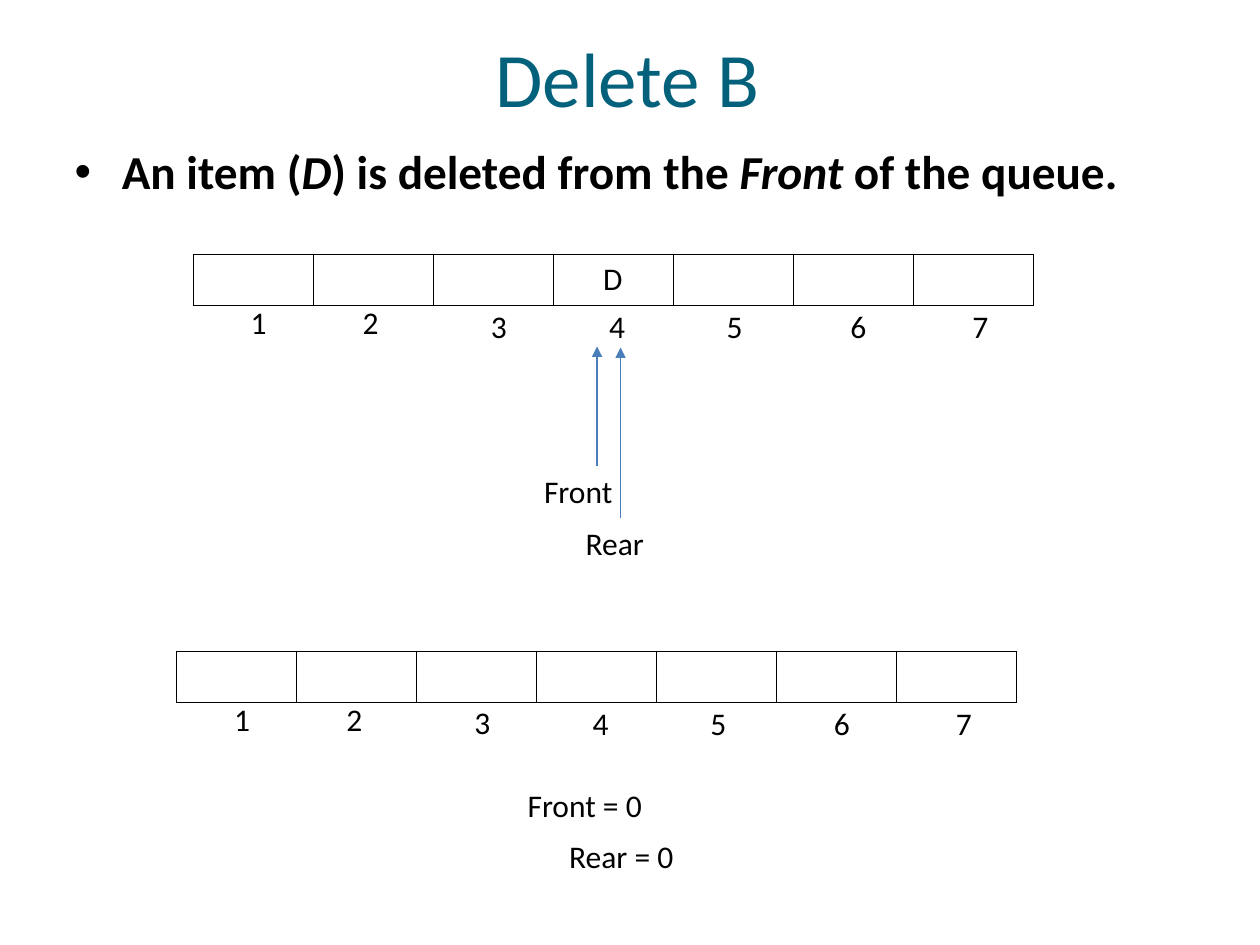
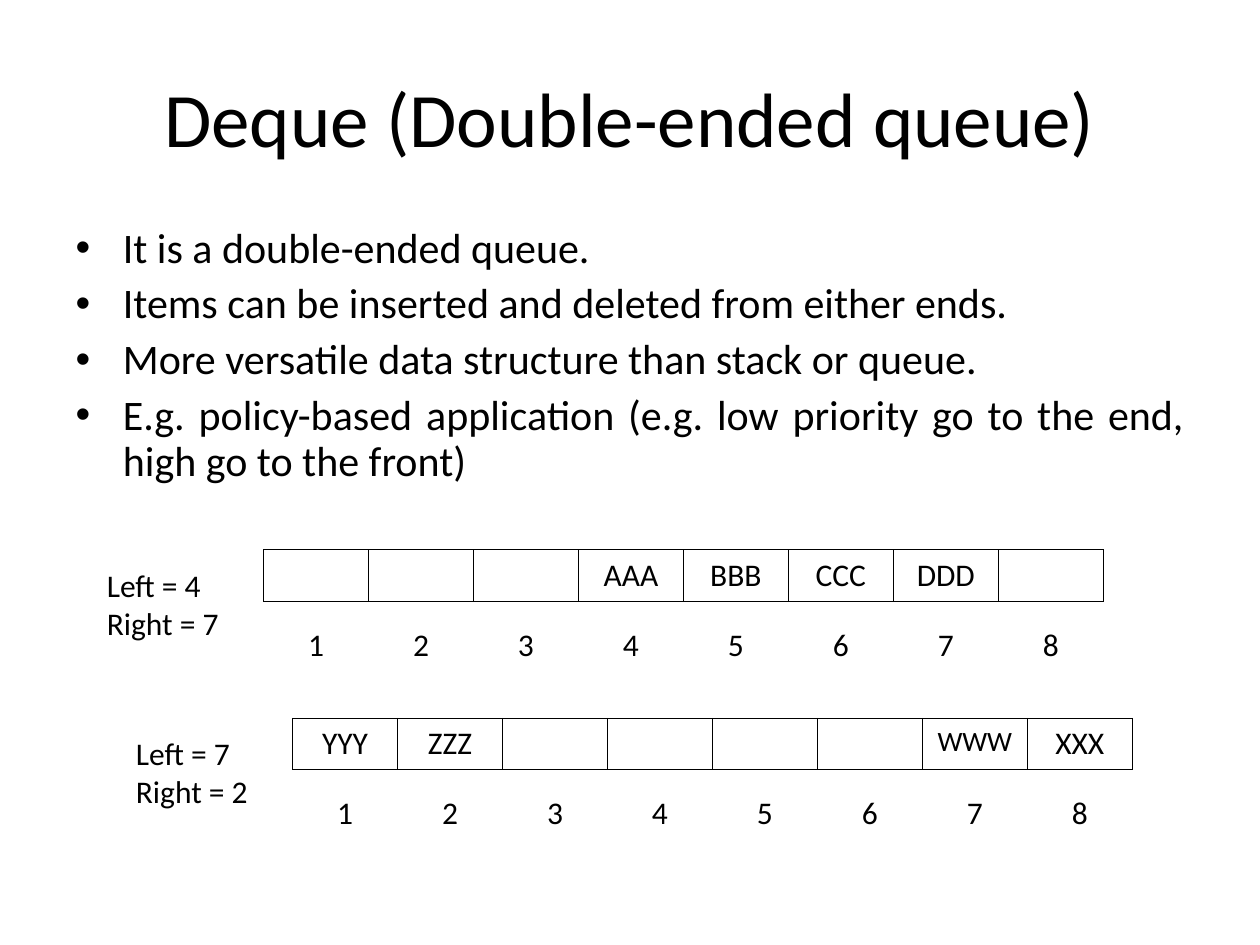
from dataclasses import dataclass, field

from lxml import etree
from pptx import Presentation
from pptx.dml.color import RGBColor
from pptx.enum.shapes import MSO_CONNECTOR
from pptx.enum.text import MSO_ANCHOR, MSO_AUTO_SIZE, PP_ALIGN
from pptx.oxml.ns import qn
from pptx.slide import Slide
from pptx.text.text import TextFrame
from pptx.util import Pt

STRAIGHT = MSO_CONNECTOR.STRAIGHT
MIDDLE = MSO_ANCHOR.MIDDLE
NO_AUTOFIT = MSO_AUTO_SIZE.NONE
LEFT, CENTER, JUSTIFY = PP_ALIGN.LEFT, PP_ALIGN.CENTER, PP_ALIGN.JUSTIFY

BLACK = RGBColor(0, 0, 0)
TEAL = RGBColor(0x04, 0x61, 0x7B)
ARROW_BLUE = RGBColor(0x4A, 0x7E, 0xBB)

FONT = "Calibri"
TITLE_SIZE = 44
LABEL_SIZE = 18
ROW_WIDTH, ROW_HEIGHT = 480, 29.2
LABEL_HEIGHT = 29
BORDER_WIDTH = 0.45
INDEX_OFFSETS = [(26, 24), (90, 24), (163.2, 26.2), (230.8, 26.6),
                 (298, 26.6), (368.6, 26.6), (438.4, 26.6)]


@dataclass
class Box:
    left: float
    top: float
    width: float
    height: float

    def lengths(self) -> tuple[Pt, Pt, Pt, Pt]:
        return Pt(self.left), Pt(self.top), Pt(self.width), Pt(self.height)


@dataclass
class Phrase:
    text: str
    italic: bool = False


@dataclass
class Cell:
    text: str = ""
    size: float = LABEL_SIZE


@dataclass
class Label:
    text: str
    dx: float
    dy: float
    width: float


@dataclass
class Pointer:
    dx: float
    start_dy: float
    end_dy: float


@dataclass
class QueueState:
    left: float
    top: float
    cells: list[Cell]
    labels: list[Label]
    pointers: list[Pointer] = field(default_factory=list)


@dataclass
class DequeState:
    left: float
    top: float
    cells: list[Cell]
    ends: str


EMPTY = Cell()

QUEUE_STATES = [
    QueueState(110.2, 145.4, [EMPTY] * 3 + [Cell("D")] + [EMPTY] * 3,
               [Label("Front", 193.6, 121, 73.4), Label("Rear", 217.4, 150.4, 73.4)],
               [Pointer(231, 121, 52.6), Pointer(244.4, 150.4, 53.2)]),
    QueueState(100.8, 372.2, [EMPTY] * 7,
               [Label("Front = 0", 193.6, 73.4, 84), Label("Rear = 0", 217.4, 102.8, 84)]),
]

DEQUE_STATES = [
    DequeState(150.6, 314.2,
               [EMPTY] * 3 + [Cell(name) for name in ("AAA", "BBB", "CCC", "DDD")] + [EMPTY],
               "Left = 4\nRight = 7"),
    DequeState(167.2, 410.4,
               [Cell("YYY"), Cell("ZZZ")] + [EMPTY] * 4 + [Cell("WWW", 16), Cell("XXX")],
               "Left = 7\nRight = 2"),
]

DEQUE_POINTS = [
    "It is a double-ended queue.",
    "Items can be inserted and deleted from either ends.",
    "More versatile data structure than stack or queue.",
    "E.g. policy-based application (e.g. low priority go to the end, high go to the front)",
]


def format_text(frame: TextFrame, size: float, color: RGBColor = BLACK,
                align: PP_ALIGN = LEFT, bold: bool = False) -> None:
    for paragraph in frame.paragraphs:
        paragraph.alignment = align
        for run in paragraph.runs:
            run.font.name = FONT
            run.font.size = Pt(size)
            run.font.color.rgb = color
            run.font.bold = bold


def set_title(slide: Slide, text: str, box: Box, color: RGBColor) -> None:
    title = slide.shapes.title
    title.left, title.top, title.width, title.height = box.lengths()
    frame = title.text_frame
    frame.text = text
    frame.auto_size = NO_AUTOFIT
    frame.vertical_anchor = MIDDLE
    format_text(frame, TITLE_SIZE, color, CENTER)


def set_points(slide: Slide, points: list[list[Phrase]], box: Box, size: float,
               align: PP_ALIGN = LEFT, bold: bool = False) -> None:
    body = slide.placeholders[1]
    body.left, body.top, body.width, body.height = box.lengths()
    frame = body.text_frame
    frame.auto_size = NO_AUTOFIT
    for number, phrases in enumerate(points):
        paragraph = frame.add_paragraph() if number else frame.paragraphs[0]
        paragraph.line_spacing = 0.9
        paragraph.space_before = Pt(6 if number else 0)
        for phrase in phrases:
            run = paragraph.add_run()
            run.text = phrase.text
            run.font.italic = phrase.italic
    format_text(frame, size, align=align, bold=bold)


def add_label(slide: Slide, text: str, box: Box) -> None:
    frame = slide.shapes.add_textbox(*box.lengths()).text_frame
    frame.word_wrap = True
    frame.text = text
    format_text(frame, LABEL_SIZE)


def add_row(slide: Slide, left: float, top: float, cells: list[Cell],
            bordered: bool = True) -> None:
    box = Box(left, top, ROW_WIDTH, ROW_HEIGHT)
    table = slide.shapes.add_table(1, len(cells), *box.lengths()).table
    table.first_row = table.horz_banding = False
    for column, content in enumerate(cells):
        table.columns[column].width = Pt(ROW_WIDTH / len(cells))
        cell = table.cell(0, column)
        cell.text_frame.text = content.text
        format_text(cell.text_frame, content.size, align=CENTER)
        cell.fill.background()
        properties = cell._tc.get_or_add_tcPr()
        for position, side in enumerate(("a:lnL", "a:lnR", "a:lnT", "a:lnB")):
            border = etree.Element(qn(side), w=str(Pt(BORDER_WIDTH)))
            if bordered:
                fill = etree.SubElement(border, qn("a:solidFill"))
                etree.SubElement(fill, qn("a:srgbClr"), val=str(BLACK))
            else:
                etree.SubElement(border, qn("a:noFill"))
            properties.insert(position, border)


def add_pointer(slide: Slide, x: float, start: float, end: float) -> None:
    arrow = slide.shapes.add_connector(STRAIGHT, Pt(x), Pt(start), Pt(x), Pt(end))
    arrow.line.color.rgb = ARROW_BLUE
    arrow.line.width = Pt(0.75)
    etree.SubElement(arrow.line._get_or_add_ln(), qn("a:tailEnd"), type="triangle")
    etree.SubElement(arrow._element.spPr, qn("a:effectLst"))


def draw_queue(slide: Slide, state: QueueState) -> None:
    add_row(slide, state.left, state.top, state.cells)
    indexes = [Label(str(number), dx, dy, 22.5)
               for number, (dx, dy) in enumerate(INDEX_OFFSETS, 1)]
    for label in indexes + state.labels:
        add_label(slide, label.text, Box(state.left + label.dx, state.top + label.dy,
                                         label.width, LABEL_HEIGHT))
    for pointer in state.pointers:
        add_pointer(slide, state.left + pointer.dx,
                    state.top + pointer.start_dy, state.top + pointer.end_dy)


def draw_deque(slide: Slide, state: DequeState) -> None:
    indexes = [Cell(str(number)) for number in range(1, len(state.cells) + 1)]
    add_row(slide, state.left, state.top, state.cells)
    add_row(slide, state.left, state.top + 40.2, indexes, bordered=False)
    add_label(slide, state.ends, Box(state.left - 96.6, state.top + 5.6, 90.6, 50.6))


def main() -> None:
    deck = Presentation()
    deck.slide_width, deck.slide_height = Pt(720), Pt(540)
    layout = deck.slide_layouts[1]

    deletion = deck.slides.add_slide(layout)
    set_title(deletion, "Delete B", Box(34.6, 6, 648, 76), TEAL)
    set_points(deletion, [[Phrase("An item ("), Phrase("D", True),
                           Phrase(") is deleted from the "), Phrase("Front ", True),
                           Phrase("of the queue.")]],
               Box(35.4, 81.4, 660, 48), 27, bold=True)
    for state in QUEUE_STATES:
        draw_queue(deletion, state)

    deque = deck.slides.add_slide(layout)
    set_title(deque, "Deque (Double-ended queue)", Box(36, 21.6, 648, 90), BLACK)
    set_points(deque, [[Phrase(point)] for point in DEQUE_POINTS],
               Box(36, 126, 648, 356.4), 24, JUSTIFY)
    for state in DEQUE_STATES:
        draw_deque(deque, state)

    deck.save("out.pptx")


if __name__ == "__main__":
    main()
